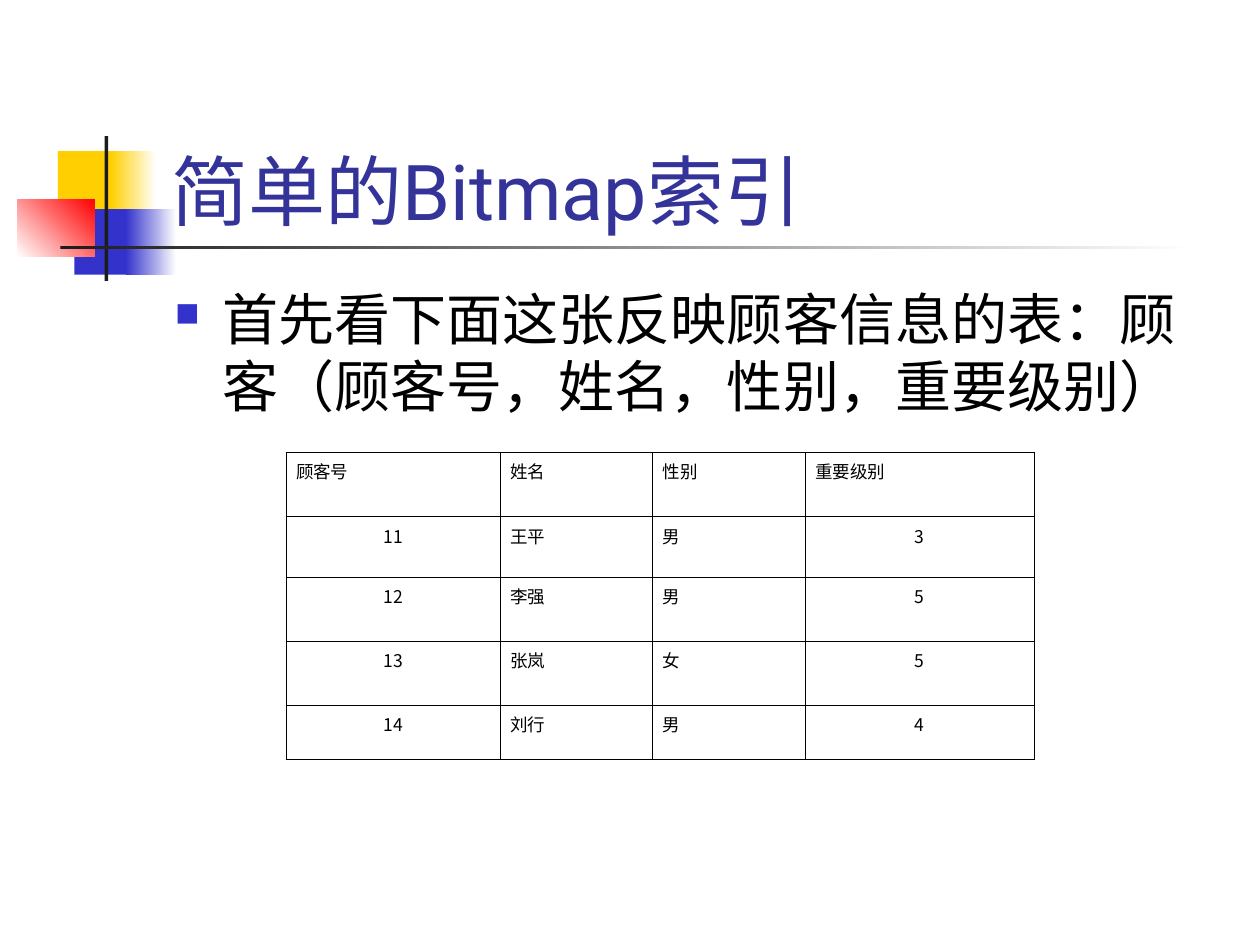
from dataclasses import dataclass

import pptx
import pptx.dml.color
import pptx.enum.shapes
import pptx.enum.text
import pptx.oxml
import pptx.oxml.ns
import pptx.util
from pptx.util import Inches

ALIGN = pptx.enum.text.PP_ALIGN


@dataclass(frozen=True)
class Theme:
    yellow: str = "FFCF01"
    blue: str = "3333CC"
    red: str = "FF0000"
    dark: str = "1C1C1C"
    white: str = "FFFFFF"
    title: str = "333399"
    text: str = "000000"
    font: str = "Roboto"
    cell_font: str = "Times New Roman"
    number_font: str = "Noto Sans CJK SC"
    title_size: int = 44
    body_size: int = 32
    cell_size: int = 10


THEME = Theme()
HEADERS = ["顾客号", "姓名", "性别", "重要级别"]
CUSTOMERS = [
    ["11", "王平", "男", "3"],
    ["12", "李强", "男", "5"],
    ["13", "张岚", "女", "5"],
    ["14", "刘行", "男", "4"],
]
COLUMN_WIDTHS = [1.7, 1.21, 1.21, 1.82]
ROW_HEIGHTS = [0.51, 0.48, 0.51, 0.51, 0.43]


def rgb(value):
    return pptx.dml.color.RGBColor.from_string(value)


def xml(tag, content="", attributes=""):
    """Return a new DrawingML element."""
    return pptx.oxml.parse_xml(
        f"<a:{tag} {pptx.oxml.ns.nsdecls('a')} {attributes}>{content}</a:{tag}>")


def set_font(p, name, size, color):
    p.font.name = name
    p.font.size = pptx.util.Pt(size)
    p.font.color.rgb = rgb(color)


def add_block(slide, left, top, width, height, colors, angle=0):
    """Add a rectangle filled with one colour, or a gradient between two."""
    sp = slide.shapes.add_shape(
        pptx.enum.shapes.MSO_SHAPE.RECTANGLE,
        Inches(left), Inches(top), Inches(width), Inches(height))
    sp.shadow.inherit = False
    sp.line.fill.background()
    if len(colors) == 1:
        sp.fill.solid()
        sp.fill.fore_color.rgb = rgb(colors[0])
    else:
        sp.fill.gradient()
        sp.fill.gradient_angle = angle
        for stop, color in zip(sp.fill.gradient_stops, colors):
            stop.color.rgb = rgb(color)


def add_ornament(slide, left, top):
    t = THEME
    for x, y, width, height, colors, angle in [
        (0.32, 0.12, 0.48, 0.52, [t.yellow], 0),
        (0.74, 0.12, 0.36, 0.52, [t.yellow, t.white], 0),
        (0.45, 0.58, 0.46, 0.52, [t.blue], 0),
        (0.86, 0.58, 0.4, 0.52, [t.blue, t.white], 0),
        (0, 0.5, 0.61, 0.46, [t.white, t.red], 45),
        (0.69, 0, 0.03, 1.15, [t.dark], 0),
        (0.34, 0.87, 9, 0.03, [t.dark, t.white], 0),
    ]:
        add_block(slide, left + x, top + y, width, height, colors, angle)


def add_text(slide, left, top, width, height, text, size, color):
    sp = slide.shapes.add_textbox(
        Inches(left), Inches(top), Inches(width), Inches(height))
    tf = sp.text_frame
    tf.word_wrap = True
    p = tf.paragraphs[0]
    p.text = text
    set_font(p, THEME.font, size, color)
    return tf


def add_title(slide, left, top, width, height):
    tf = add_text(slide, left, top, width, height, "简单的Bitmap索引",
                  THEME.title_size, THEME.title)
    tf.vertical_anchor = pptx.enum.text.MSO_ANCHOR.BOTTOM


def add_body(slide, left, top, width, height):
    tf = add_text(slide, left, top, width, height,
                  "首先看下面这张反映顾客信息的表：顾客（顾客号，姓名，性别，重要级别）",
                  THEME.body_size, THEME.text)
    p = tf.paragraphs[0]
    p.space_before = pptx.util.Pt(8)
    pPr = p._p.get_or_add_pPr()
    indent = Inches(0.38)
    pPr.set("marL", str(indent))
    pPr.set("indent", str(-indent))
    bullet = [
        xml("buClr", f'<a:srgbClr val="{THEME.blue}"/>'),
        xml("buSzPct", attributes='val="60000"'),
        xml("buChar", attributes='char="■"'),
    ]
    defaults = pPr.find(pptx.oxml.ns.qn("a:defRPr"))
    for element in bullet:
        defaults.addprevious(element)


def set_borders(cell, widths):
    """Draw cell borders; widths are points for left, right, top, bottom."""
    tcPr = cell._tc.get_or_add_tcPr()
    fill = f'<a:solidFill><a:srgbClr val="{THEME.text}"/></a:solidFill>'
    for i, (side, width) in enumerate(zip("LRTB", widths)):
        tcPr.insert(i, xml(f"ln{side}", fill, f'w="{pptx.util.Pt(width)}"'))


def fill_cell(cell, text, widths):
    cell.fill.background()
    cell.margin_left = cell.margin_right = Inches(0.08)
    cell.margin_top = cell.margin_bottom = Inches(0.05)
    p = cell.text_frame.paragraphs[0]
    p.text = text
    number = text.isdigit()
    p.alignment = ALIGN.CENTER if number else ALIGN.JUSTIFY
    set_font(p, THEME.number_font if number else THEME.cell_font,
             THEME.cell_size, THEME.text)
    set_borders(cell, widths)


def add_customer_table(slide, left, top):
    rows = [HEADERS] + CUSTOMERS
    table = slide.shapes.add_table(
        len(rows), len(HEADERS), Inches(left), Inches(top),
        Inches(sum(COLUMN_WIDTHS)), Inches(sum(ROW_HEIGHTS))).table
    table.first_row = table.horz_banding = False
    for column, width in zip(table.columns, COLUMN_WIDTHS):
        column.width = Inches(width)
    for row, height in zip(table.rows, ROW_HEIGHTS):
        row.height = Inches(height)
    thin, thick = 0.45, 0.75
    for i, values in enumerate(rows):
        widths = [thin, thin, thick if i == 1 else thin, thick if i == 0 else thin]
        for j, text in enumerate(values):
            fill_cell(table.cell(i, j), text, widths)


def main():
    prs = pptx.Presentation()
    prs.slide_width, prs.slide_height = Inches(10), Inches(7.5)
    s = prs.slides.add_slide(prs.slide_layouts[6])
    s.background.fill.solid()
    s.background.fill.fore_color.rgb = rgb(THEME.white)
    add_ornament(s, 0.14, 1.08)
    add_title(s, 1.26, 0.67, 8.52, 1.25)
    add_body(s, 1.29, 2.21, 8.5, 4.5)
    add_customer_table(s, 2.27, 3.59)
    prs.save("out.pptx")


if __name__ == "__main__":
    main()
